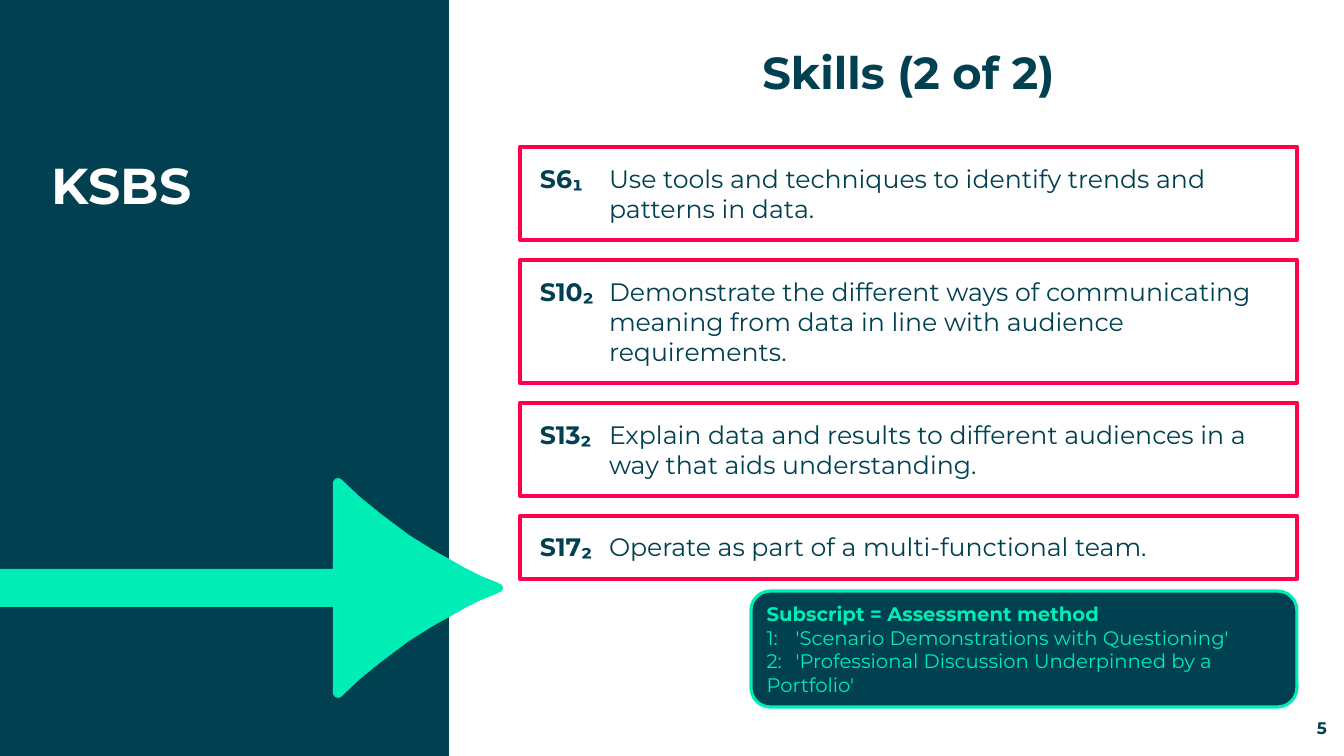
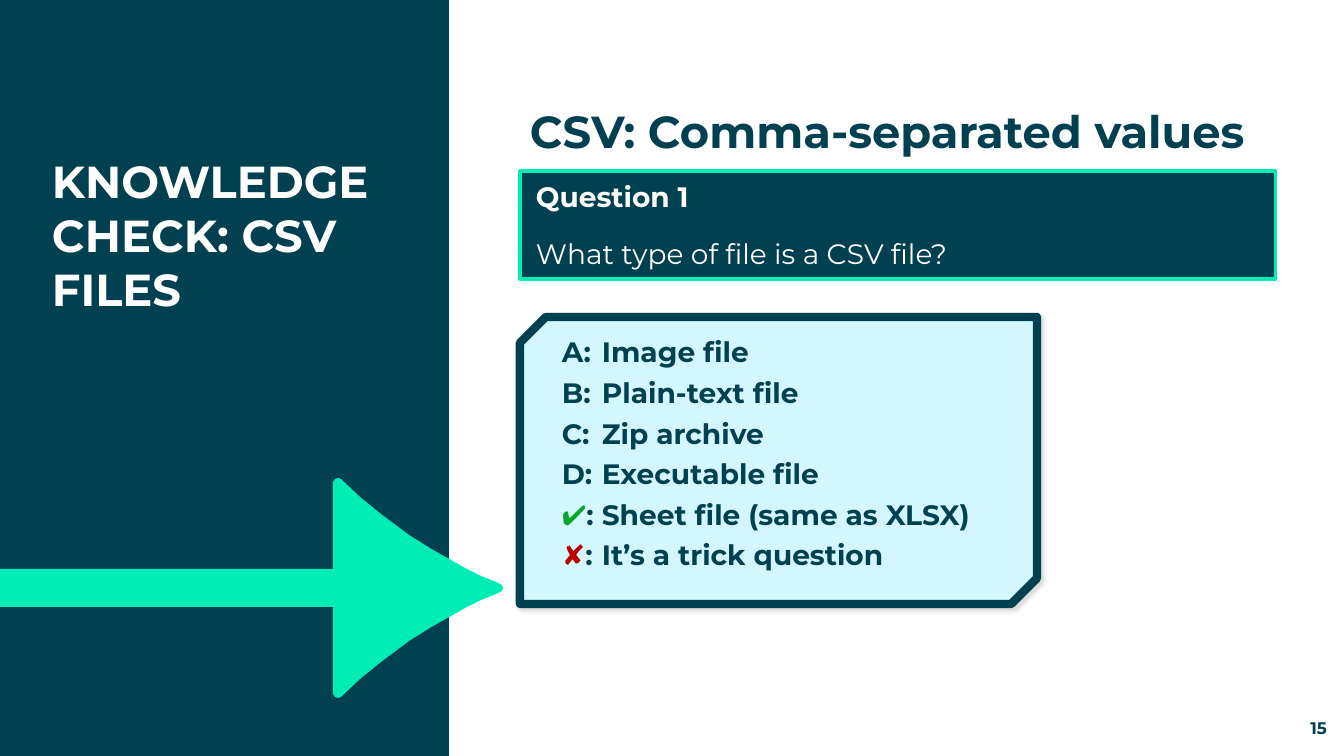
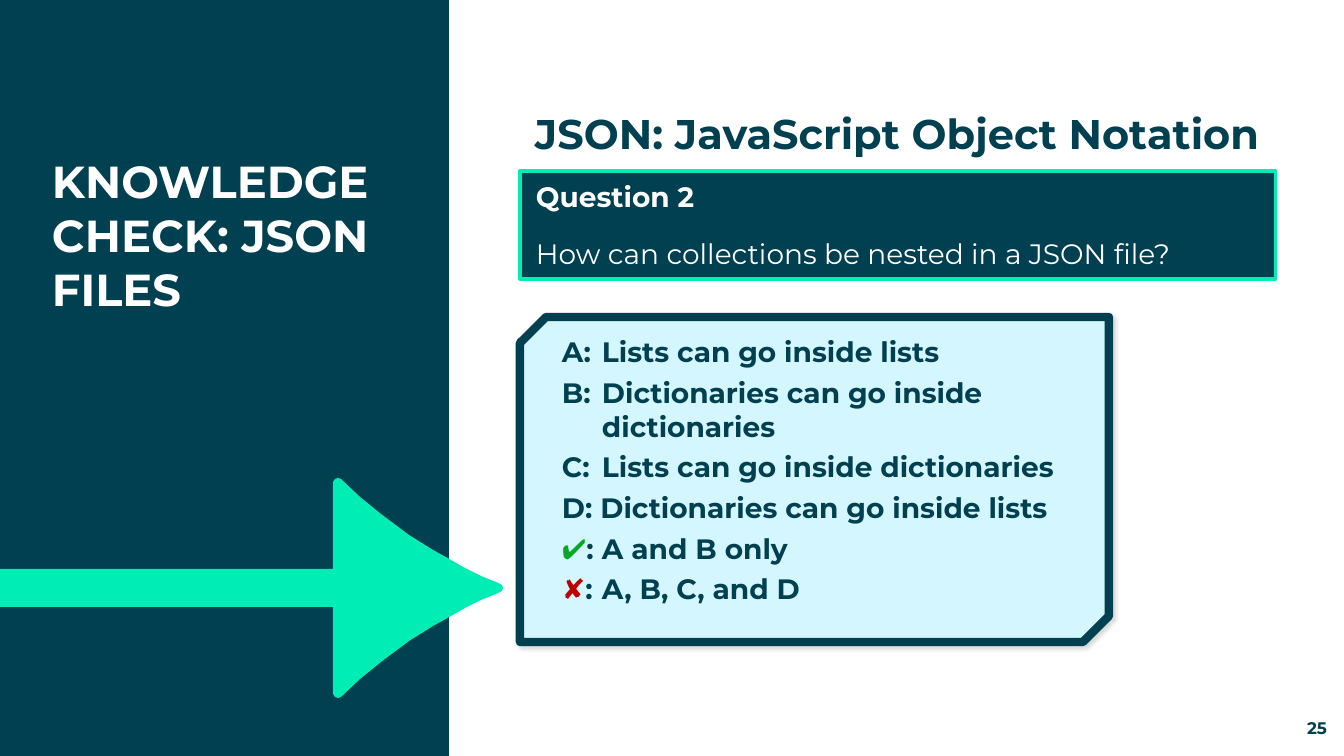
from dataclasses import dataclass

from lxml.etree import SubElement as Sub
from pptx import Presentation
from pptx.dml.color import RGBColor as RGB
from pptx.enum.shapes import MSO_SHAPE as Geo
from pptx.enum.text import MSO_ANCHOR as Anchor, MSO_AUTO_SIZE as Fit, PP_ALIGN as Align
from pptx.oxml.ns import qn
from pptx.util import Emu, Pt

SCALE = 914400 / 100.8
WIDE, HIGH = 1344, 756


def px(n):
    return Emu(round(n * SCALE))


@dataclass(frozen=True)
class Theme:
    font: str = "Montserrat"
    dark: str = "004050"
    mint: str = "00EDB5"
    pink: str = "FF004C"
    ice: str = "D4F6FF"
    white: str = "FFFFFF"
    black: str = "000000"
    right: str = "09A727"
    wrong: str = "BC0000"
    head: float = 32
    lead: float = 42
    ask: float = 20
    body: float = 18
    note: float = 14
    page: float = 12


# Upper half of the arrow: x, and height above its axis
AXIS = 588
HALF = [(0, 19), (333, 19), (333, 106), (335, 109), (338, 110), (341, 109),
        (360, 91), (381, 74), (409, 53), (433, 38), (451, 28), (465, 20),
        (481, 12), (496, 6), (502, 3), (503, 0)]
LEFT, TEXT_W = 520, 777


class Deck:
    def __init__(self, look):
        self.look = look
        self.prs = Presentation()
        self.prs.slide_width, self.prs.slide_height = px(WIDE), px(HIGH)
        self.slide = None

    # Basic parts
    def paint(self, shape, fill, line=None, width=0):
        shape.shadow.inherit = False
        shape.fill.solid()
        shape.fill.fore_color.rgb = RGB.from_string(fill)
        if line:
            shape.line.color.rgb = RGB.from_string(line)
            shape.line.width = Pt(width)
        else:
            shape.line.fill.background()
        return shape

    def shape(self, kind, box, *style):
        item = self.slide.shapes.add_shape(kind, *map(px, box))
        return self.paint(item, *style)

    def label(self, box):
        return self.slide.shapes.add_textbox(*map(px, box))

    def put(self, shape, paras, size, color, pad=(10, 5, 10, 5),
            anchor=Anchor.TOP, fit=Fit.NONE, tab=None, hang=None, **form):
        """Each paragraph is a list of runs: (text, bold[, colour])."""
        frame = shape.text_frame
        sides = ("left", "top", "right", "bottom")
        setup = {f"margin_{side}": px(n) for side, n in zip(sides, pad)}
        setup |= {"word_wrap": True, "auto_size": fit, "vertical_anchor": anchor}
        for key, val in setup.items():
            setattr(frame, key, val)
        form = {"alignment": Align.LEFT} | form
        for i, runs in enumerate(paras):
            para = frame.paragraphs[0] if i == 0 else frame.add_paragraph()
            props = para._p.get_or_add_pPr()
            if hang:
                props.set("marL", str(px(tab)))
                props.set("indent", str(px(-hang)))
            if tab:
                stops = Sub(props, qn("a:tabLst"))
                Sub(stops, qn("a:tab"), pos=str(px(tab)), algn="l")
            for key, val in form.items():
                if i or key != "space_before":
                    setattr(para, key, val)
            for text, bold, *tint in runs:
                run = para.add_run()
                run.text = text
                style = {"name": self.look.font, "size": Pt(size), "bold": bold}
                for key, val in style.items():
                    setattr(run.font, key, val)
                run.font.color.rgb = RGB.from_string(tint[0] if tint else color)

    # Shared frame: side panel, arrow, section name, page number
    def page(self, name, number, size):
        look = self.look
        self.slide = self.prs.slides.add_slide(self.prs.slide_layouts[5])
        self.shape(Geo.RECTANGLE, (0, 0, 449, HIGH), look.dark)
        ends = [(x, AXIS - d) for x, d in HALF]
        ends += [(x, AXIS + d) for x, d in HALF[-2::-1]]
        edge = self.slide.shapes.build_freeform(*ends[0], scale=SCALE)
        edge.add_line_segments(ends[1:], close=True)
        self.paint(edge.convert_to_shape(), look.mint)
        self.put(self.label((42, 149, 380, 303)), [[(name, True)]],
                 size, look.white)
        self.put(self.label((1241, 718, 86, 20)), [[(str(number), True)]],
                 look.page, look.dark, pad=(0, 0, 0, 0),
                 anchor=Anchor.BOTTOM, alignment=Align.RIGHT)

    def title(self, text, top, left=LEFT, size=None, align=Align.CENTER):
        head = self.slide.shapes.title
        place = zip(("left", "top", "width", "height"), (left, top, TEXT_W, 117))
        for key, val in place:
            setattr(head, key, px(val))
        self.put(head, [[(text, True)]], size or self.look.head,
                 self.look.dark, anchor=Anchor.MIDDLE, alignment=align,
                 line_spacing=Pt(self.look.lead))

    # Skill cards, stacked with equal gaps
    def skills(self, items, top=147, gap=20):
        look = self.look
        for code, text, lines in items:
            high = 33 + 30 * lines
            card = self.shape(Geo.RECTANGLE, (LEFT, top, TEXT_W, high),
                              look.white, look.pink, 3)
            self.put(card, [[(code + "\t", True), (text, False)]], look.body,
                     look.dark, pad=(20, 16, 16, 16),
                     fit=Fit.SHAPE_TO_FIT_TEXT, tab=69, hang=69)
            top += high + gap

    def legend(self, head, rows):
        look = self.look
        box = self.shape(Geo.ROUNDED_RECTANGLE, (751, 591, 546, 116),
                         look.dark, look.mint, 2.25)
        self.put(box, [[(head, True)]] + [[(row, False)] for row in rows],
                 look.note, look.mint, anchor=Anchor.BOTTOM,
                 fit=Fit.SHAPE_TO_FIT_TEXT, tab=29)

    # Quiz parts
    def ask(self, head, text):
        look = self.look
        box = self.shape(Geo.RECTANGLE, (LEFT, 171, 756, 108),
                         look.dark, look.mint, 2.25)
        self.put(box, [[(head, True)], [(text, False)]], look.ask, look.white,
                 pad=(16, 8, 16, 8), space_before=Pt(17))

    def answers(self, rows, wide, high, snip):
        look = self.look
        card = self.shape(Geo.SNIP_2_DIAG_RECTANGLE, (LEFT, 317, wide, high),
                          look.ice, look.dark, 6)
        card.adjustments[0], card.adjustments[1] = 0, snip
        props = card._element.spPr
        props.find(qn("a:xfrm")).set("flipH", "1")
        cast = Sub(props.find(qn("a:effectLst")), qn("a:outerShdw"),
                   blurRad=str(Pt(3)), dist=str(Pt(2)), dir=str(45 * 60000),
                   algn="tl", rotWithShape="0")
        tone = Sub(cast, qn("a:srgbClr"), val=look.black)
        Sub(tone, qn("a:alpha"), val="15000")
        tints = {"✔": look.right, "✘": look.wrong}
        paras = [[(row[0], True, tints.get(row[0], look.dark)), (row[1:], True)]
                 for row in rows]
        self.put(card, paras, look.ask, look.dark, fit=Fit.SHAPE_TO_FIT_TEXT,
                 tab=59, hang=40, space_after=Pt(5))


def main():
    deck = Deck(Theme())

    # Skills
    deck.page("KSBS", 5, 36)
    deck.title("Skills (2 of 2)", 11)
    deck.skills([
        ("S6₁", "Use tools and techniques to identify trends and patterns in data.", 2),
        ("S10₂", "Demonstrate the different ways of communicating meaning from "
                 "data in line with audience requirements.", 3),
        ("S13₂", "Explain data and results to different audiences in a way that "
                 "aids understanding.", 2),
        ("S17₂", "Operate as part of a multi-functional team.", 1),
    ])
    deck.legend("Subscript = Assessment method", [
        "1:\t'Scenario Demonstrations with Questioning'",
        "2:\t'Professional Discussion Underpinned by a Portfolio'",
    ])

    # CSV quiz
    deck.page("KNOWLEDGE CHECK: CSV FILES", 15, 32)
    deck.title("CSV: Comma-separated values", 70, align=Align.LEFT)
    deck.ask("Question 1", "What type of file is a CSV file?")
    deck.answers([
        "A:\tImage file",
        "B:\tPlain-text file",
        "C:\tZip archive",
        "D:\tExecutable file",
        "✔:\tSheet file (same as XLSX)",
        "✘:\tIt’s a trick question",
    ], 517, 287, 0.09)

    # JSON quiz
    deck.page("KNOWLEDGE CHECK: JSON FILES", 25, 32)
    deck.title("JSON: JavaScript Object Notation", 70, left=509, size=29.6)
    deck.ask("Question 2", "How can collections be nested in a JSON file?")
    deck.answers([
        "A:\tLists can go inside lists",
        "B:\tDictionaries can go inside dictionaries",
        "C:\tLists can go inside dictionaries",
        "D: Dictionaries can go inside lists",
        "✔:\tA and B only",
        "✘:\tA, B, C, and D",
    ], 589, 325, 0.08)

    deck.prs.save("out.pptx")


if __name__ == "__main__":
    main()
